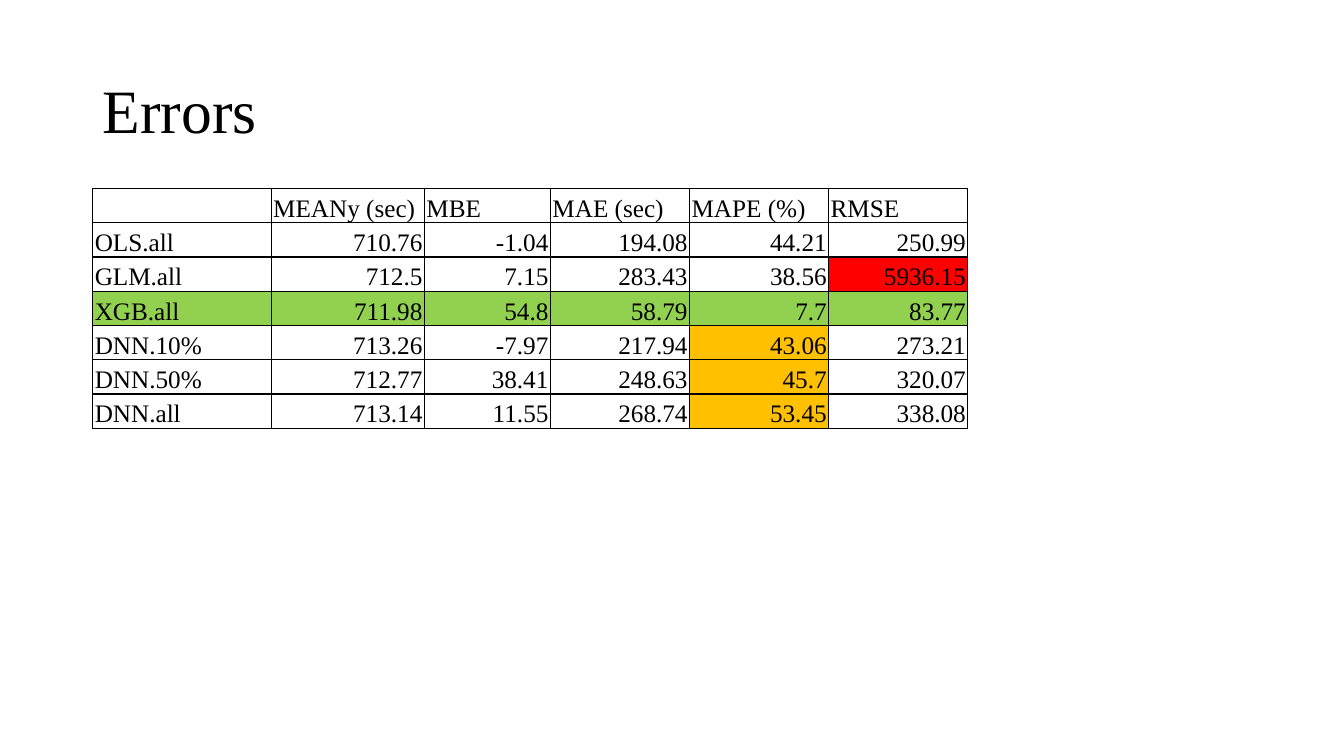
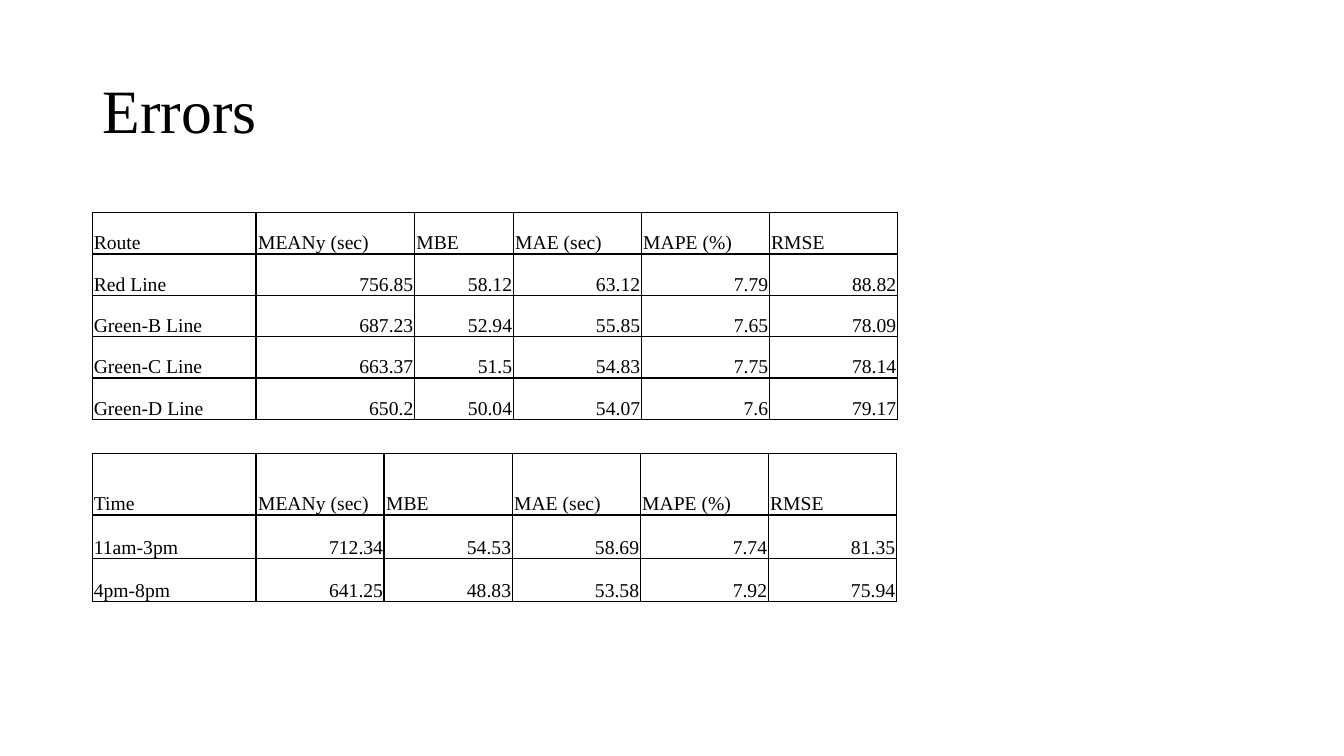
import pptx
import pptx.dml.color
import pptx.enum.text
import pptx.oxml
import pptx.oxml.ns
import pptx.util
from pptx.util import Inches

COLORS = {
    "text": "000000",
    "border": "000000",
    "best": "92D050",
    "outlier": "FF0000",
    "warning": "FFC000",
}
FONT = "Times New Roman"
LEFT = 0.92
METRICS = ["MEANy (sec)", "MBE", "MAE (sec)", "MAPE (%)", "RMSE"]

model_rows = [
    ["", *METRICS],
    ["OLS.all", "710.76", "-1.04", "194.08", "44.21", "250.99"],
    ["GLM.all", "712.5", "7.15", "283.43", "38.56", "5936.15"],
    ["XGB.all", "711.98", "54.8", "58.79", "7.7", "83.77"],
    ["DNN.10%", "713.26", "-7.97", "217.94", "43.06", "273.21"],
    ["DNN.50%", "712.77", "38.41", "248.63", "45.7", "320.07"],
    ["DNN.all", "713.14", "11.55", "268.74", "53.45", "338.08"],
]
model_fills = {(2, 5): "outlier"}
model_fills.update({(3, column): "best" for column in range(6)})
model_fills.update({(row, 4): "warning" for row in (4, 5, 6)})

time_rows = [
    ["Time", *METRICS],
    ["11am-3pm", "712.34", "54.53", "58.69", "7.74", "81.35"],
    ["4pm-8pm", "641.25", "48.83", "53.58", "7.92", "75.94"],
]
route_rows = [
    ["Route", *METRICS],
    ["Red Line", "756.85", "58.12", "63.12", "7.79", "88.82"],
    ["Green-B Line", "687.23", "52.94", "55.85", "7.65", "78.09"],
    ["Green-C Line", "663.37", "51.5", "54.83", "7.75", "78.14"],
    ["Green-D Line", "650.2", "50.04", "54.07", "7.6", "79.17"],
]

slides = [
    {
        "title": "Errors",
        "tables": [
            {"top": 1.87, "size": 18, "inset": 0.02, "rows": model_rows, "fills": model_fills,
             "widths": [1.77, 1.52, 1.25] + [1.38] * 3, "heights": [0.34] * 7},
        ],
    },
    {
        "title": "Errors",
        "tables": [
            {"top": 4.5, "size": 14, "inset": 0.01, "rows": time_rows, "fills": {},
             "widths": [1.62] + [1.27] * 5, "heights": [0.61, 0.43, 0.43]},
            {"top": 2.11, "size": 14, "inset": 0.01, "rows": route_rows, "fills": {},
             "widths": [1.62, 1.57, 0.98] + [1.27] * 3, "heights": [0.41] * 5},
        ],
    },
]


def add_text(paragraph, text, size):
    run = paragraph.add_run()
    run.text = text
    for name, value in {"name": FONT, "size": pptx.util.Pt(size)}.items():
        setattr(run.font, name, value)
    run.font.color.rgb = pptx.dml.color.RGBColor.from_string(COLORS["text"])


def add_borders(cell):
    properties = cell._tc.get_or_add_tcPr()
    for side in ("lnL", "lnR", "lnT", "lnB"):
        properties.append(pptx.oxml.parse_xml(
            f'<a:{side} {pptx.oxml.ns.nsdecls("a")} w="{pptx.util.Pt(1)}"><a:solidFill>'
            f'<a:srgbClr val="{COLORS["border"]}"/></a:solidFill></a:{side}>'))


presentation = pptx.Presentation()
presentation.slide_width = Inches(13.33)
presentation.slide_height = Inches(7.5)

for content in slides:
    slide = presentation.slides.add_slide(presentation.slide_layouts[6])
    title = slide.shapes.add_textbox(Inches(LEFT), Inches(0.4), Inches(11.5), Inches(1.45))
    title.text_frame.word_wrap = True
    title.text_frame.vertical_anchor = pptx.enum.text.MSO_ANCHOR.MIDDLE
    title_paragraph = title.text_frame.paragraphs[0]
    title_paragraph.line_spacing = 0.9
    add_text(title_paragraph, content["title"], 44)

    for data in content["tables"]:
        widths, heights = data["widths"], data["heights"]
        table = slide.shapes.add_table(
            len(heights), len(widths), Inches(LEFT), Inches(data["top"]),
            Inches(sum(widths)), Inches(sum(heights))).table
        table.first_row = False
        table.horz_banding = False
        for column, width in zip(table.columns, widths):
            column.width = Inches(width)
        for row, height in zip(table.rows, heights):
            row.height = Inches(height)

        for row_index, values in enumerate(data["rows"]):
            for column_index, value in enumerate(values):
                cell = table.cell(row_index, column_index)
                is_metric_name = row_index == 0 and column_index > 0
                inset = Inches(0.02 if is_metric_name else data["inset"])
                cell_format = {
                    "margin_left": inset,
                    "margin_right": inset,
                    "margin_top": inset,
                    "margin_bottom": 0,
                    "vertical_anchor": pptx.enum.text.MSO_ANCHOR.BOTTOM,
                }
                for name, setting in cell_format.items():
                    setattr(cell, name, setting)
                add_borders(cell)
                fill = data["fills"].get((row_index, column_index))
                if fill:
                    cell.fill.solid()
                    cell.fill.fore_color.rgb = pptx.dml.color.RGBColor.from_string(COLORS[fill])
                else:
                    cell.fill.background()
                paragraph = cell.text_frame.paragraphs[0]
                if row_index > 0 and column_index > 0:
                    paragraph.alignment = pptx.enum.text.PP_ALIGN.RIGHT
                add_text(paragraph, value, data["size"])

presentation.save("out.pptx")
